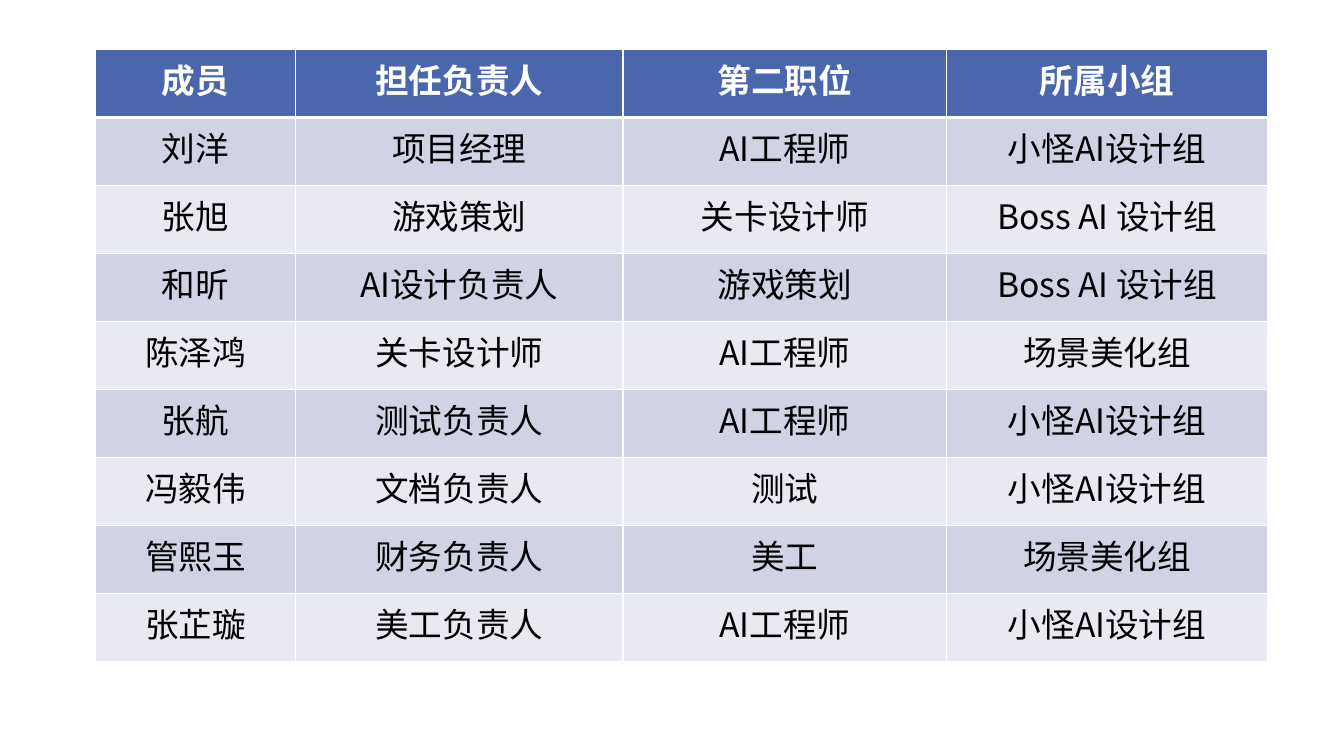
import dataclasses

import lxml.etree
import pptx
import pptx.dml.color
import pptx.enum.text
import pptx.oxml.ns
import pptx.table
import pptx.util

Inches = pptx.util.Inches
Pt = pptx.util.Pt
qn = pptx.oxml.ns.qn

FONT = "Noto Sans CJK SC"
WHITE = "FFFFFF"
WIDTHS = (1.98, 3.25, 3.21, 3.18)


@dataclasses.dataclass(frozen=True)
class Member:
    name: str
    lead: str
    second: str
    team: str


@dataclasses.dataclass(frozen=True)
class Style:
    fill: str
    ink: str
    bold: bool = False
    top: float = 1
    base: float = 1


MEMBERS = (
    Member("成员", "担任负责人", "第二职位", "所属小组"),
    Member("刘洋", "项目经理", "AI工程师", "小怪AI设计组"),
    Member("张旭", "游戏策划", "关卡设计师", "Boss AI 设计组"),
    Member("和昕", "AI设计负责人", "游戏策划", "Boss AI 设计组"),
    Member("陈泽鸿", "关卡设计师", "AI工程师", "场景美化组"),
    Member("张航", "测试负责人", "AI工程师", "小怪AI设计组"),
    Member("冯毅伟", "文档负责人", "测试", "小怪AI设计组"),
    Member("管熙玉", "财务负责人", "美工", "场景美化组"),
    Member("张芷璇", "美工负责人", "AI工程师", "小怪AI设计组"),
)


def color(code: str) -> pptx.dml.color.RGBColor:
    return pptx.dml.color.RGBColor.from_string(code)


def pick_style(row: int) -> Style:
    if row == 0:
        return Style("4A66AC", WHITE, bold=True, base=3)
    fill = "D0D3E3" if row % 2 else "E9EAF1"
    return Style(fill, "000000", top=3 if row == 1 else 1)


def add_edges(cell: pptx.table._Cell, style: Style) -> None:
    props = cell._tc.get_or_add_tcPr()
    edges = {"lnL": 1, "lnR": 1, "lnT": style.top, "lnB": style.base}
    for tag, width in edges.items():
        line = lxml.etree.SubElement(props, qn(f"a:{tag}"), w=str(Pt(width)))
        solid = lxml.etree.SubElement(line, qn("a:solidFill"))
        lxml.etree.SubElement(solid, qn("a:srgbClr"), val=WHITE)


def fill_cell(cell: pptx.table._Cell, text: str, style: Style) -> None:
    add_edges(cell, style)
    cell.fill.solid()
    cell.fill.fore_color.rgb = color(style.fill)
    cell.vertical_anchor = pptx.enum.text.MSO_ANCHOR.TOP
    para = cell.text_frame.paragraphs[0]
    para.alignment = pptx.enum.text.PP_ALIGN.CENTER
    run = para.add_run()
    run.text = text
    run.font.size = Pt(24)
    run.font.bold = style.bold
    run.font.color.rgb = color(style.ink)
    run.font.name = FONT
    # East Asian text takes its own typeface element
    props = run._r.get_or_add_rPr()
    lxml.etree.SubElement(props, qn("a:ea"), typeface=FONT)


def main() -> None:
    deck = pptx.Presentation()
    deck.slide_width, deck.slide_height = Inches(13.33), Inches(7.5)
    slide = deck.slides.add_slide(deck.slide_layouts[6])

    # Team table
    frame = slide.shapes.add_table(
        len(MEMBERS), len(WIDTHS),
        Inches(0.95), Inches(0.49), Inches(sum(WIDTHS)), Inches(6.07),
    )
    table = frame.table
    for column, width in zip(table.columns, WIDTHS):
        column.width = Inches(width)

    # Header and members
    for row, member in enumerate(MEMBERS):
        style = pick_style(row)
        for col, text in enumerate(dataclasses.astuple(member)):
            fill_cell(table.cell(row, col), text, style)

    deck.save("out.pptx")


if __name__ == "__main__":
    main()
